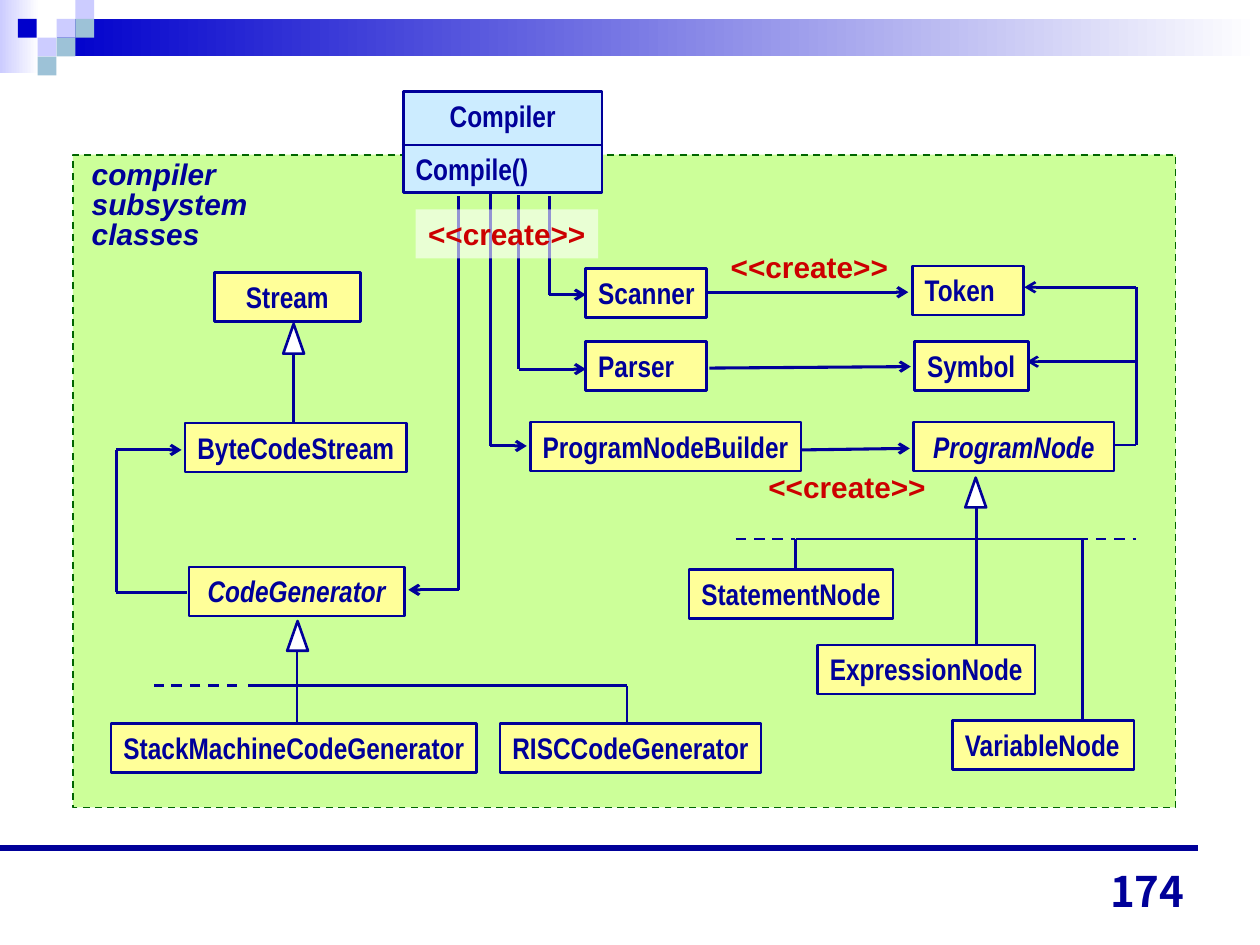
"""Builds a class diagram slide of a compiler subsystem."""
from itertools import pairwise

from lxml import etree
from pptx import Presentation
from pptx import util as u
from pptx.dml.color import RGBColor
from pptx.enum import dml, shapes, text
from pptx.oxml.ns import qn

NAVY, YELLOW, RED = "000099", "FFFF99", "CC0000"
LEFT, CENTER, RIGHT = text.PP_ALIGN.LEFT, text.PP_ALIGN.CENTER, text.PP_ALIGN.RIGHT
BOX_H = 0.99
SQUARE = 0.38

CLASSES = [
    ("ByteCodeStream", 3.73, 8.53, 4.47),
    ("StackMachineCodeGenerator", 2.24, 14.58, 7.37),
    ("RISCCodeGenerator", 10.08, 14.58, 5.26),
    ("StatementNode", 13.89, 11.48, 4.11),
    ("VariableNode", 19.2, 14.53, 3.66),
    ("ExpressionNode", 16.48, 13, 4.39),
    ("ProgramNodeBuilder", 10.69, 8.51, 5.46),
    ("Scanner", 11.81, 5.41, 2.44),
    ("Parser", 11.81, 6.88, 2.44),
    ("Token", 18.39, 5.36, 2.24),
    ("Symbol", 18.44, 6.88, 2.29),
]
CENTERED_CLASSES = [
    ("Stream", 4.32, 5.49, 2.95, False),
    ("CodeGenerator", 3.81, 11.43, 4.34, True),
    ("ProgramNode", 18.42, 8.51, 4.04, True),
]
THICK_ARROWS = [
    [(3.76, 11.94), (2.34, 11.94), (2.34, 9.07), (3.66, 9.07)],
    [(9.25, 3.96), (9.25, 11.89), (8.23, 11.89)],
    [(9.88, 3.91), (9.88, 8.99), (10.62, 8.99)],
    [(10.46, 3.94), (10.46, 7.44), (11.81, 7.44)],
    [(11.07, 3.96), (11.07, 5.94), (11.81, 5.94)],
    [(16.15, 9.07), (18.34, 9.04)],
    [(14.3, 7.42), (18.36, 7.39)],
    [(14.27, 5.89), (18.31, 5.89)],
]
THIN_ARROWS = [
    [(22.45, 8.97), (22.91, 8.97), (22.91, 5.79), (20.65, 5.79)],
    [(22.91, 7.29), (20.7, 7.29)],
]
TREE_LINES = [
    [(8.1, 2.92), (12.14, 2.92)],
    [(5.92, 7.14), (5.92, 8.53)],
    [(5.99, 13.13), (5.99, 14.58)],
    [(5, 13.82), (12.64, 13.82), (12.64, 14.58)],
    [(19.69, 10.24), (19.69, 13)],
    [(16.04, 11.48), (16.04, 10.87), (21.82, 10.87), (21.82, 14.53)],
]
DASHED_LINES = [
    [(4.78, 13.82), (3.1, 13.82)],
    [(21.72, 10.87), (22.91, 10.87)],
    [(14.83, 10.87), (16.03, 10.87)],
]


def rgb(color):
    """Return the colour for a hex string."""
    return RGBColor.from_string(color)


def add_box(s, x, y, w, h, fill, line=None, width=1.5, kind=shapes.MSO_SHAPE.RECTANGLE):
    """Add a filled shape; two fill colours make a left-to-right gradient."""
    sp = s.shapes.add_shape(kind, u.Cm(x), u.Cm(y), u.Cm(w), u.Cm(h))
    sp.shadow.inherit = False
    if isinstance(fill, tuple):
        sp.fill.gradient()
        sp.fill.gradient_angle = 0
        for stop, color in zip(sp.fill.gradient_stops, fill):
            stop.color.rgb = rgb(color)
    else:
        sp.fill.solid()
        sp.fill.fore_color.rgb = rgb(fill)
    if line:
        sp.line.color.rgb = rgb(line)
        sp.line.width = u.Pt(width)
    else:
        sp.line.fill.background()
    return sp


def set_text(sp, content, color=NAVY, font="Arial Narrow", size=17, italic=False, align=LEFT):
    """Write bold text from the top of a shape and return its paragraphs."""
    tf = sp.text_frame
    tf.word_wrap = True
    tf.vertical_anchor = text.MSO_ANCHOR.TOP
    if align == LEFT:
        tf.margin_right = 0
    tf.text = content
    for p in tf.paragraphs:
        p.alignment = align
        for r in p.runs:
            r.font.name, r.font.size = font, u.Pt(size)
            r.font.bold, r.font.italic = True, italic
            r.font.color.rgb = rgb(color)
    return tf.paragraphs


def add_label(s, x, y, w, h, content, **style):
    """Add a text box and return its shape."""
    sp = s.shapes.add_textbox(u.Cm(x), u.Cm(y), u.Cm(w), u.Cm(h))
    set_text(sp, content, **style)
    return sp


def add_path(s, points, width=1.5, arrow=False, dashed=False):
    """Join points with straight lines, with an optional arrowhead at the end."""
    for (x1, y1), (x2, y2) in pairwise(points):
        ln = s.shapes.add_connector(
            shapes.MSO_CONNECTOR.STRAIGHT, u.Cm(x1), u.Cm(y1), u.Cm(x2), u.Cm(y2))
        ln.line.color.rgb = rgb(NAVY)
        ln.line.width = u.Pt(width)
        if dashed:
            ln.line.dash_style = dml.MSO_LINE.DASH
        etree.SubElement(ln._element.spPr, qn("a:effectLst"))
    if arrow:
        etree.SubElement(ln.line._get_or_add_ln(), qn("a:tailEnd"), type="arrow")


def add_header(s):
    """Add the gradient bar with its mosaic and the footer rule."""
    add_box(s, 0, 0, 0.79, 1.47, ("CCCCFF", "FFFFFF"))
    add_box(s, 1.14, 0.38, 24.26, 0.76, ("0000CC", "FFFFFF"))
    for col, row, color in [(3, 1, "CCCCFF"), (4, 0, "CCCCFF"), (4, 1, "9DC2D7"),
                            (2, 2, "CCCCFF"), (0.95, 1, "0000CC"), (3, 2, "9DC2D7"),
                            (2, 3, "9DC2D7")]:
        add_box(s, col * SQUARE, row * SQUARE, SQUARE, SQUARE, color)
    add_path(s, [(0, 17.09), (24.16, 17.09)], 3.25)


def add_classes(s):
    """Add the subsystem area and every class box."""
    area = add_box(s, 1.47, 3.12, 22.23, 13.16, "CCFF99", "006600", 1)
    area.line.dash_style = dml.MSO_LINE.DASH
    for name, x, y, w in CLASSES:
        set_text(add_box(s, x, y, w, BOX_H, YELLOW, NAVY), name)
    for name, x, y, w, italic in CENTERED_CLASSES:
        set_text(add_box(s, x, y, w, BOX_H, YELLOW, NAVY), name, italic=italic, align=CENTER)
    compiler = add_box(s, 8.13, 1.85, 4.01, 2.03, "CCECFF", NAVY)
    title, method = set_text(compiler, "Compiler\nCompile()")
    compiler.text_frame.margin_right = compiler.text_frame.margin_left
    title.alignment = CENTER
    method.space_before = u.Pt(9.5)


def add_relations(s):
    """Add the arrows, inheritance trees and creation labels."""
    for points in THICK_ARROWS:
        add_path(s, points, 1.75, arrow=True)
    for points in THIN_ARROWS:
        add_path(s, points, arrow=True)
    for points in TREE_LINES:
        add_path(s, points)
    for points in DASHED_LINES:
        add_path(s, points, dashed=True)
    for x, y in [(5.71, 6.53), (5.79, 12.52), (19.46, 9.63)]:
        add_box(s, x, y, 0.42, 0.6, "FFFFFF", NAVY, kind=shapes.MSO_SHAPE.ISOSCELES_TRIANGLE)
    veil = add_box(s, 8.38, 4.22, 3.68, BOX_H, "FFFFFF")
    color = veil._element.spPr.find(qn("a:solidFill")).find(qn("a:srgbClr"))
    etree.SubElement(color, qn("a:alpha"), val="58000")
    set_text(veil, "<<create>>", RED, "Arial")
    for x, y in [(14.48, 4.9), (15.24, 9.32)]:
        add_label(s, x, y, 3.68, BOX_H, "<<create>>", color=RED, font="Arial")


def main():
    """Build and save the slide."""
    prs = Presentation()
    prs.slide_width, prs.slide_height = u.Cm(25.4), u.Cm(19.05)
    s = prs.slides.add_slide(prs.slide_layouts[6])
    add_header(s)
    add_classes(s)
    add_relations(s)
    caption = add_label(s, 1.6, 3.12, 3.63, 2.11, "compiler\nsubsystem\nclasses",
                        font="Arial", italic=True)
    for p in caption.text_frame.paragraphs:
        p.line_spacing = 0.85
    number = add_label(s, 18.21, 17.32, 5.92, 1.27, "174",
                       font="Noto Sans CJK JP", size=24, align=RIGHT)
    number.text_frame.vertical_anchor = text.MSO_ANCHOR.BOTTOM
    prs.save("out.pptx")


if __name__ == "__main__":
    main()
